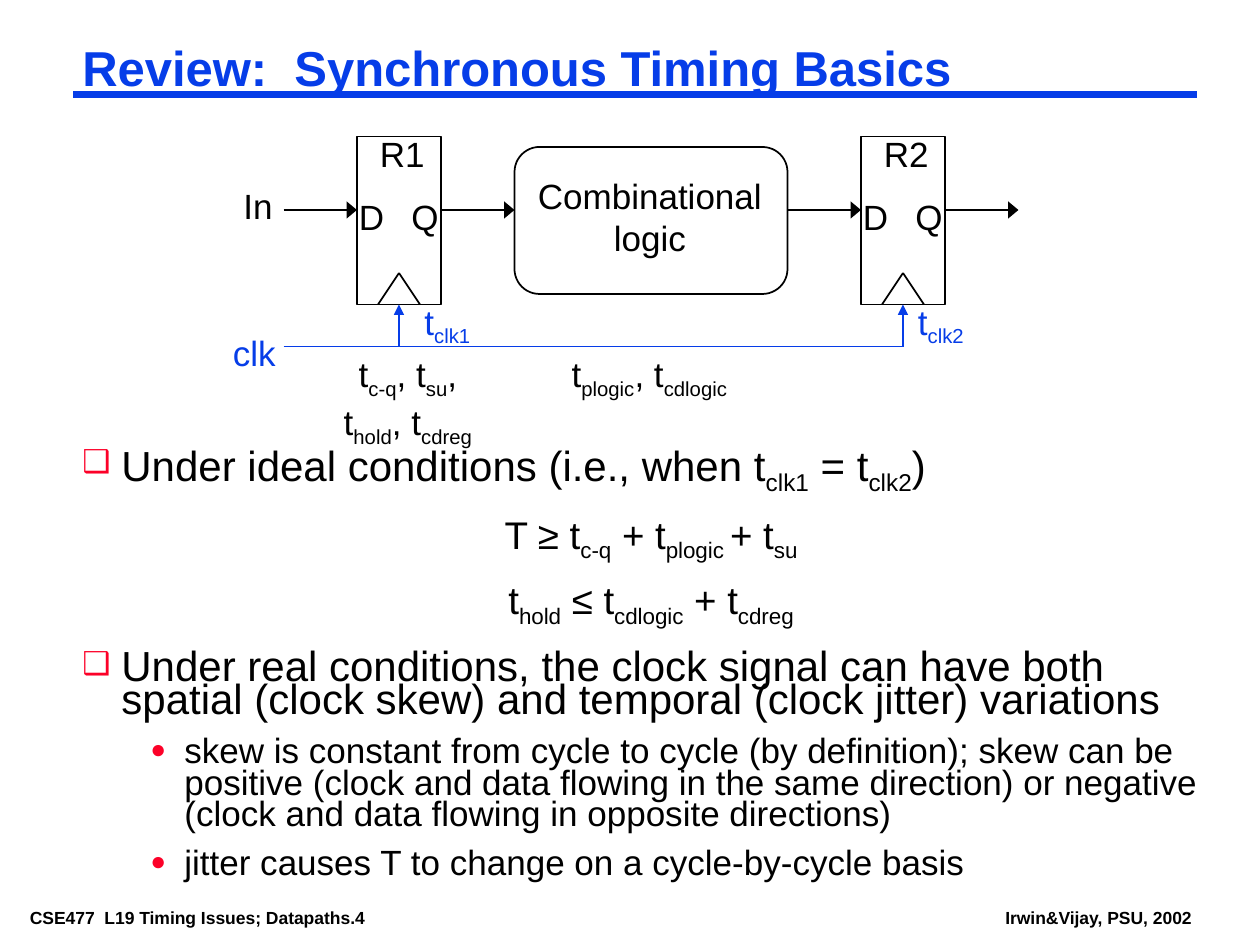
from dataclasses import dataclass

from lxml import etree
from pptx import Presentation
from pptx.dml.color import RGBColor
from pptx.enum.shapes import MSO_CONNECTOR, MSO_SHAPE
from pptx.enum.text import MSO_ANCHOR, MSO_AUTO_SIZE, PP_ALIGN
from pptx.oxml.ns import qn
from pptx.util import Inches, Pt

LEFT, CENTER = PP_ALIGN.LEFT, PP_ALIGN.CENTER
RECT, ROUNDED = MSO_SHAPE.RECTANGLE, MSO_SHAPE.ROUNDED_RECTANGLE
STRAIGHT = MSO_CONNECTOR.STRAIGHT
TOP = MSO_ANCHOR.TOP
FIXED, GROW = MSO_AUTO_SIZE.NONE, MSO_AUTO_SIZE.SHAPE_TO_FIT_TEXT


@dataclass(frozen=True)
class Theme:
    font: str = "Arial"
    ink: str = "000000"
    blue: str = "063DE8"
    red: str = "FC0128"
    title: int = 28
    point: int = 24
    formula: int = 22
    label: int = 20
    footer: int = 10
    thin: float = 1
    rule: float = 4.5


THEME = Theme()
COLUMNS, ROWS = 120, 90
WIDTH, HEIGHT = Inches(10), Inches(7.5)

TITLE = "Review:  Synchronous Timing Basics"
FOOTERS = [
    ("CSE477  L19 Timing Issues; Datapaths.4", 2, 40.7),
    ("Irwin&Vijay, PSU, 2002", 94.9, 19.6),
]

BODY = [
    ("❑", "Under ideal conditions (i.e., when t{clk1} = t{clk2})", 0.8),
    ("", "T ≥ t{c-q} + t{plogic }+ t{su}", 0.65),
    ("", "t{hold} ≤ t{cdlogic} + t{cdreg}", 0.65),
    ("❑", "Under real conditions, the clock signal can have both spatial "
          "(clock skew) and temporal (clock jitter) variations", 0.65),
    ("●", "skew is constant from cycle to cycle (by definition); skew can be "
          "positive (clock and data flowing in the same direction) or negative "
          "(clock and data flowing in opposite directions)", 0.75),
    ("●", "jitter causes T to change on a cycle-by-cycle basis", 0.75),
]
LEVELS = {
    "❑": dict(size=THEME.point, before=19.5, margin=0.31, hang=0.31, level=0, align=LEFT),
    "": dict(size=THEME.formula, before=17.9, margin=0.31, hang=0.31, level=0, align=CENTER),
    "●": dict(size=THEME.label, before=10, margin=0.81, hang=0.27, level=1, align=LEFT),
}

REGISTERS = [("R1", 34), ("R2", 82)]
REGISTER_TOP, REGISTER_WIDTH, REGISTER_HEIGHT = 13, 8, 16
REGISTER_BOTTOM = REGISTER_TOP + REGISTER_HEIGHT
LOGIC = (49, 14, 26, 14)
DATA_ROW, CLOCK_ROW = 20, 33
DATA_ARROWS = [(27, 34), (42, 49), (75, 82), (90, 97)]
LABELS = [
    (["Combinational", "logic"], (50, 16, 23.8, 9.2), THEME.ink, CENTER),
    (["clk"], (21, 31, 6.6, 5.3), THEME.blue, LEFT),
    (["In"], (22, 17, 5.3, 5.3), THEME.ink, LEFT),
    (["t{clk1}"], (39.25, 28, 7.2, 5.8), THEME.blue, LEFT),
    (["t{clk2}"], (86.25, 28, 7.2, 5.8), THEME.blue, LEFT),
    (["t{c-q}, t{su},", "t{hold}, t{cdreg}"], (31.5, 33, 14.7, 10.3), THEME.ink, CENTER),
    (["t{plogic}, t{cdlogic}"], (53.2, 33, 17.3, 5.8), THEME.ink, CENTER),
]
for name, left in REGISTERS:
    LABELS += [
        (["D"], (left - 1, 18, 4.9, 5.3), THEME.ink, LEFT),
        (["Q"], (left + 4, 18, 5, 5.3), THEME.ink, LEFT),
        ([name], (left + 1, 12, 7.2, 5.3), THEME.ink, LEFT),
    ]


def place(*cells):
    steps = (WIDTH / COLUMNS, HEIGHT / ROWS) * 2
    return [round(cell * step) for cell, step in zip(cells, steps)]


def apply(target, values):
    for key, value in values.items():
        setattr(target, key, value)


def format_frame(frame, inset_x, inset_y, wrap, fit):
    apply(frame, dict(
        margin_left=Inches(inset_x), margin_right=Inches(inset_x),
        margin_top=Inches(inset_y), margin_bottom=Inches(inset_y),
        word_wrap=wrap, auto_size=fit, vertical_anchor=TOP))


def write(paragraph, marked, size, color, bold=False):
    for index, piece in enumerate(marked.replace("}", "{").split("{")):
        if not piece:
            continue
        run = paragraph.add_run()
        run.text = piece
        apply(run.font, dict(name=THEME.font, size=Pt(size), bold=bold))
        run.font.color.rgb = RGBColor.from_string(color)
        if index % 2:
            run.font._element.set("baseline", "-25000")


def add_text(slide, lines, cells, size, color, align=LEFT, bold=False, inset=(0.1, 0.05)):
    frame = slide.shapes.add_textbox(*place(*cells)).text_frame
    format_frame(frame, *inset, False, GROW)
    for index, line in enumerate(lines):
        paragraph = frame.add_paragraph() if index else frame.paragraphs[0]
        paragraph.alignment = align
        write(paragraph, line, size, color, bold)


def add_line(slide, start, end, color=THEME.ink, width=THEME.thin, head=None):
    connector = slide.shapes.add_connector(STRAIGHT, *place(*start, *end))
    connector.line.color.rgb = RGBColor.from_string(color)
    connector.line.width = Pt(width)
    if head:
        etree.SubElement(connector.line._get_or_add_ln(), qn("a:tailEnd"),
                         type="triangle", w=head)
    etree.SubElement(connector._element.spPr, qn("a:effectLst"))


def add_outline(slide, kind, cells):
    outline = slide.shapes.add_shape(kind, *place(*cells))
    outline.shadow.inherit = False
    outline.fill.background()
    outline.line.color.rgb = RGBColor.from_string(THEME.ink)
    outline.line.width = Pt(THEME.thin)
    return outline


def add_bullet(paragraph, symbol, margin, hang):
    properties = paragraph._p.get_or_add_pPr()
    properties.set("marL", str(Inches(margin)))
    properties.set("indent", str(-Inches(hang)))
    if not symbol:
        etree.SubElement(properties, qn("a:buNone"))
        return
    tint = etree.SubElement(properties, qn("a:buClr"))
    etree.SubElement(tint, qn("a:srgbClr"), val=THEME.red)
    etree.SubElement(properties, qn("a:buSzPct"), val="75000")
    etree.SubElement(properties, qn("a:buFont"), typeface=THEME.font)
    etree.SubElement(properties, qn("a:buChar"), char=symbol)


def add_title(slide):
    title = slide.shapes.title
    apply(title, dict(zip(("left", "top", "width", "height"), place(7, 4, 107, 5.5))))
    format_frame(title.text_frame, 0.07, 0.03, True, FIXED)
    heading = title.text_frame.paragraphs[0]
    apply(heading, dict(alignment=LEFT, line_spacing=0.87, space_before=Pt(0)))
    write(heading, TITLE, THEME.title, THEME.blue, True)


def add_body(slide):
    frame = slide.shapes.add_textbox(*place(7, 42, 110, 46.4)).text_frame
    format_frame(frame, 0.07, 0.03, True, FIXED)
    for index, (symbol, sentence, spacing) in enumerate(BODY):
        style = LEVELS[symbol]
        paragraph = frame.add_paragraph() if index else frame.paragraphs[0]
        add_bullet(paragraph, symbol, style["margin"], style["hang"])
        apply(paragraph, dict(
            level=style["level"], alignment=style["align"], line_spacing=spacing,
            space_before=Pt(style["before"] if index else 0)))
        write(paragraph, sentence, style["size"], THEME.ink)


def add_circuit(slide):
    for _, left in REGISTERS:
        add_outline(slide, RECT, (left, REGISTER_TOP, REGISTER_WIDTH, REGISTER_HEIGHT))
        middle = left + REGISTER_WIDTH / 2
        peak = (middle, REGISTER_BOTTOM - 3)
        add_line(slide, (middle - 2, REGISTER_BOTTOM), peak)
        add_line(slide, peak, (middle + 2, REGISTER_BOTTOM))
        add_line(slide, (middle, CLOCK_ROW), (middle, REGISTER_BOTTOM), THEME.blue, head="med")
    add_line(slide, (DATA_ARROWS[0][0], CLOCK_ROW), (middle, CLOCK_ROW), THEME.blue)
    add_outline(slide, ROUNDED, LOGIC).adjustments[0] = 0.17
    for start, end in DATA_ARROWS:
        add_line(slide, (start, DATA_ROW), (end, DATA_ROW), head="lg")
    for lines, cells, color, align in LABELS:
        add_text(slide, lines, cells, THEME.label, color, align)


def main():
    deck = Presentation()
    apply(deck, dict(slide_width=WIDTH, slide_height=HEIGHT))
    slide = deck.slides.add_slide(deck.slide_layouts[5])
    for text, left, width in FOOTERS:
        add_text(slide, [text], (left, 86, width, 2.7), THEME.footer, THEME.ink,
                 bold=True, inset=(0.07, 0.03))
    add_line(slide, (7, 9), (114, 9), THEME.blue, THEME.rule)
    add_title(slide)
    add_body(slide)
    add_circuit(slide)
    deck.save("out.pptx")


if __name__ == "__main__":
    main()
